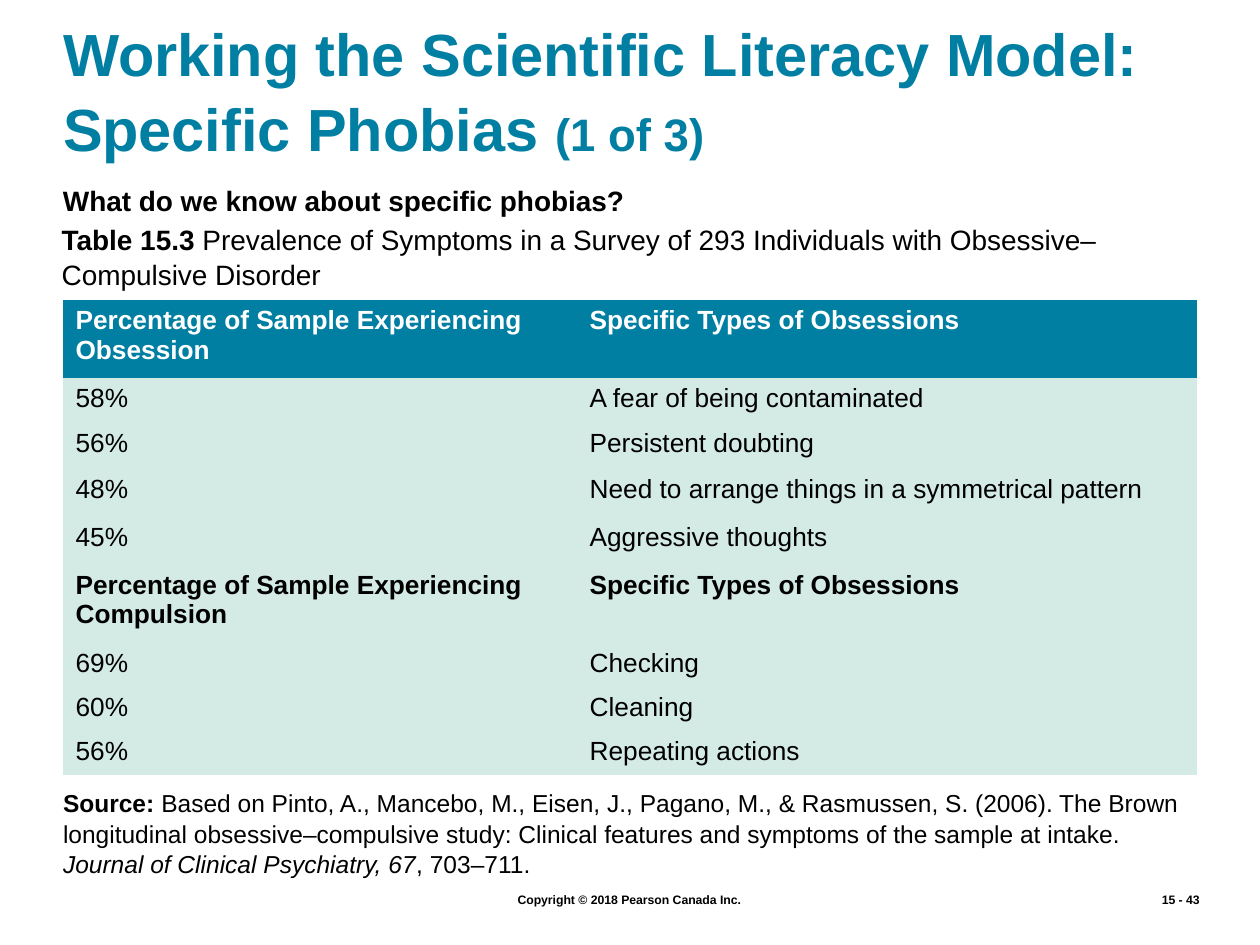
import pptx
import pptx.dml.color
import pptx.enum.text
import pptx.oxml.ns
import pptx.util

Inches = pptx.util.Inches
Pt = pptx.util.Pt
ALIGN = pptx.enum.text.PP_ALIGN
ANCHOR = pptx.enum.text.MSO_ANCHOR

COLORS = {"teal": "007FA3", "mint": "D4EAE4", "black": "000000", "white": "FFFFFF"}
NO_GRID_STYLE = "{2D5ABB26-0587-4C30-8999-92F81FD0307C}"

ROWS = [
    ("Percentage of Sample Experiencing Obsession", "Specific Types of Obsessions"),
    ("58%", "A fear of being contaminated"),
    ("56%", "Persistent doubting"),
    ("48%", "Need to arrange things in a symmetrical pattern"),
    ("45%", "Aggressive thoughts"),
    ("Percentage of Sample Experiencing Compulsion", "Specific Types of Obsessions"),
    ("69%", "Checking"),
    ("60%", "Cleaning"),
    ("56%", "Repeating actions"),
]
ROW_HEIGHTS = [0.62, 0.35, 0.37, 0.38, 0.38, 0.62, 0.35, 0.35, 0.35]
COLUMN_WIDTHS = [4.08, 4.92]
HEADING_ROWS = (0, 5)


def color(name):
    return pptx.dml.color.RGBColor.from_string(COLORS[name])


def add_text(para, text, size=16, fill="black", bold=False, italic=False):
    span = para.add_run()
    span.text = text
    span.font.name = "Arial"
    span.font.size = Pt(size)
    span.font.bold = bold
    span.font.italic = italic
    span.font.color.rgb = color(fill)


def format_frame(frame, align=ALIGN.LEFT, anchor=ANCHOR.TOP, spacing=1.05, margin=0):
    frame.word_wrap = True
    frame.auto_size = pptx.enum.text.MSO_AUTO_SIZE.NONE
    frame.vertical_anchor = anchor
    frame.margin_left = frame.margin_right = Inches(margin)
    frame.margin_top = frame.margin_bottom = Inches(margin / 2)
    para = frame.paragraphs[0]
    para.alignment = align
    para.line_spacing = spacing
    return para


def add_box(page, area, **layout):
    box = page.shapes.add_textbox(*map(Inches, area))
    return format_frame(box.text_frame, **layout)


def place_title(page, area):
    title = page.shapes.title
    title.left, title.top, title.width, title.height = map(Inches, area)
    para = format_frame(title.text_frame, anchor=ANCHOR.MIDDLE)
    heading = "Working the Scientific Literacy Model: Specific Phobias "
    add_text(para, heading, size=34, fill="teal", bold=True)
    add_text(para, "(1 of 3)", size=26, fill="teal", bold=True)


def place_question(page, area):
    para = add_box(page, area)
    add_text(para, "What do we know about specific phobias?", bold=True)


def place_caption(page, area):
    para = add_box(page, area)
    add_text(para, "Table 15.3 ", bold=True)
    add_text(para, "Prevalence of Symptoms in a Survey of 293 Individuals "
                   "with Obsessive–Compulsive Disorder")


def place_table(page, area):
    frame = page.shapes.add_table(len(ROWS), len(COLUMN_WIDTHS), *map(Inches, area))
    table = frame.table
    table.horz_banding = False
    style_tag = pptx.oxml.ns.qn("a:tableStyleId")
    next(frame.element.iter(style_tag)).text = NO_GRID_STYLE
    for column, width in zip(table.columns, COLUMN_WIDTHS):
        column.width = Inches(width)
    for index, (texts, height) in enumerate(zip(ROWS, ROW_HEIGHTS)):
        table.rows[index].height = Inches(height)
        for cell, text in zip(table.rows[index].cells, texts):
            cell.fill.solid()
            cell.fill.fore_color.rgb = color("mint" if index else "teal")
            add_text(cell.text_frame.paragraphs[0], text, size=15,
                     fill="black" if index else "white", bold=index in HEADING_ROWS)


def place_source(page, area):
    para = add_box(page, area)
    add_text(para, "Source: ", size=14, bold=True)
    add_text(para, "Based on Pinto, A., Mancebo, M., Eisen, J., Pagano, M., & "
                   "Rasmussen, S. (2006). The Brown longitudinal "
                   "obsessive–compulsive study: Clinical features and symptoms "
                   "of the sample at intake. ", size=14)
    add_text(para, "Journal of Clinical Psychiatry, 67", size=14, italic=True)
    add_text(para, ", 703–711.", size=14)


def place_footer(page, area, text, align):
    para = add_box(page, area, align=align, spacing=1.0, margin=0.1)
    add_text(para, text, size=7, bold=True)


def main():
    deck = pptx.Presentation()
    deck.slide_width, deck.slide_height = Inches(10), Inches(7.5)
    page = deck.slides.add_slide(deck.slide_layouts.get_by_name("Title Only"))
    place_title(page, (0.5, 0.06, 9, 1.29))
    place_question(page, (0.5, 1.44, 9, 0.27))
    place_caption(page, (0.49, 1.75, 9, 0.54))
    place_table(page, (0.5, 2.38, 9, 3.77))
    place_source(page, (0.5, 6.24, 8.92, 0.71))
    place_footer(page, (1.08, 7.03, 7.83, 0.22),
                 "Copyright © 2018 Pearson Canada Inc.", ALIGN.CENTER)
    place_footer(page, (8.62, 7.03, 1, 0.22), "15 - 43", ALIGN.RIGHT)
    deck.save("out.pptx")


if __name__ == "__main__":
    main()
